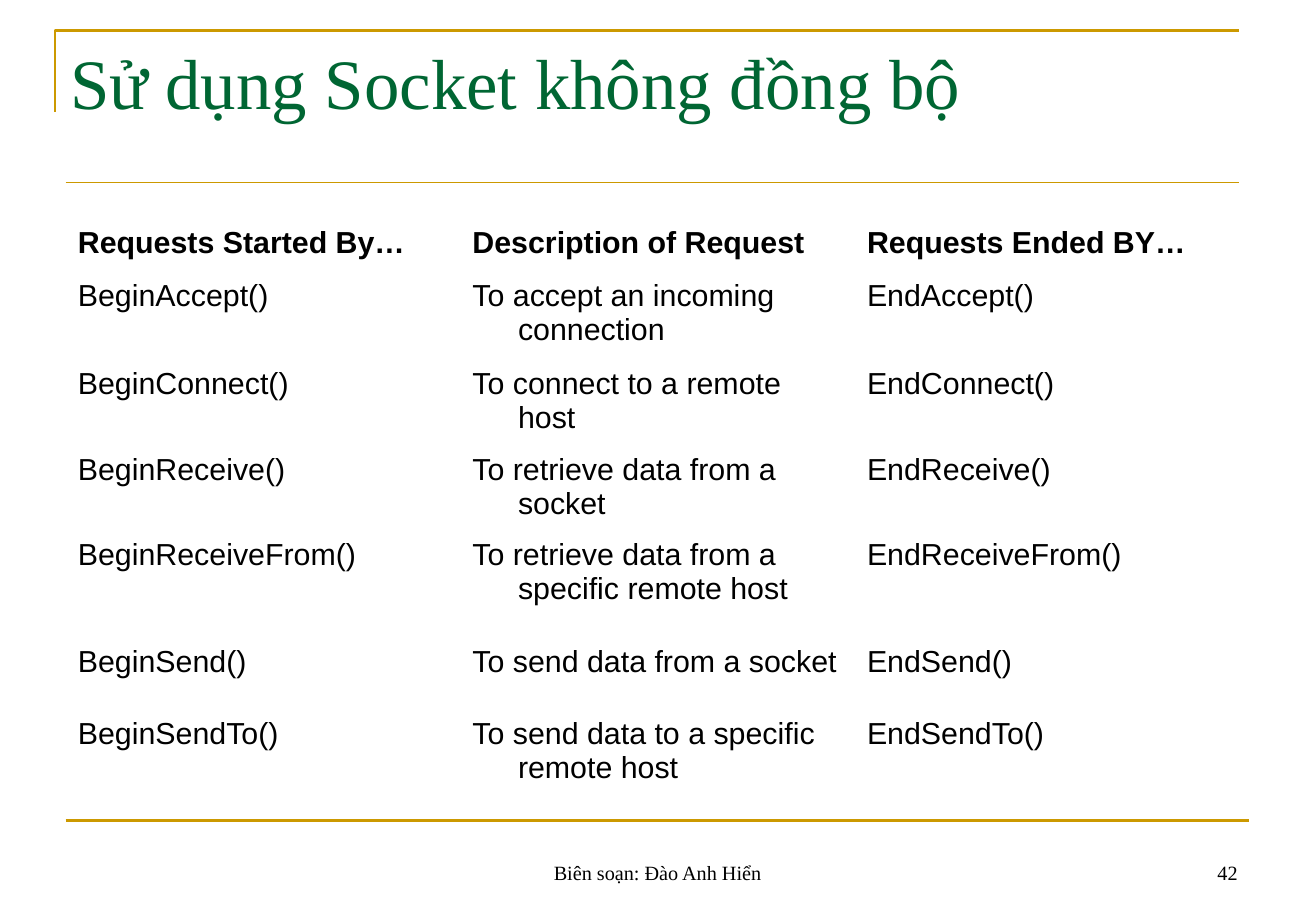
from lxml import etree
from pptx import Presentation
from pptx.dml.color import RGBColor
from pptx.enum import shapes, text
from pptx.oxml import ns
from pptx.util import Pt

GOLD = RGBColor(0xCC, 0x99, 0x00)
GREEN = RGBColor(0x00, 0x66, 0x33)
BLACK = RGBColor(0x00, 0x00, 0x00)
SERIF, SANS = "Times New Roman", "Arial"

LEFT, WIDTH, RULE_END = 39, 702, 734.6
ROW_HEIGHTS = [36, 52.1, 50.6, 50.7, 63.4, 42.5, 61.9]
HEADER = ["Requests Started By…", "Description of Request", "Requests Ended BY…"]
REQUESTS = [
    ("Accept", "To accept an incoming connection"),
    ("Connect", "To connect to a remote host"),
    ("Receive", "To retrieve data from a socket"),
    ("ReceiveFrom", "To retrieve data from a specific remote host"),
    ("Send", "To send data from a socket"),
    ("SendTo", "To send data to a specific remote host"),
]


class SlideBuilder:
    hanging = 27

    def __init__(self, prs):
        self.s = prs.slides.add_slide(prs.slide_layouts[6])

    def style(self, p, font, size, color, bold=False):
        for r in p.runs:
            r.font.name = font
            r.font.size = Pt(size)
            r.font.bold = bold
            r.font.color.rgb = color

    def stroke(self, line, width):
        line.color.rgb = GOLD
        line.width = Pt(width)

    def corner(self, points, width):
        start, *rest = [(Pt(x), Pt(y)) for x, y in points]
        builder = self.s.shapes.build_freeform(*start)
        builder.add_line_segments(rest, close=False)
        sp = builder.convert_to_shape()
        sp.shadow.inherit = False
        sp.fill.background()
        self.stroke(sp.line, width)

    def rule(self, x1, x2, y, width):
        sp = self.s.shapes.add_connector(
            shapes.MSO_CONNECTOR.STRAIGHT, Pt(x1), Pt(y), Pt(x2), Pt(y))
        etree.SubElement(sp._element.spPr, ns.qn("a:effectLst"))
        self.stroke(sp.line, width)

    def label(self, words, box, size, color, align, anchor):
        sp = self.s.shapes.add_textbox(*map(Pt, box))
        tf = sp.text_frame
        tf.word_wrap = True
        tf.vertical_anchor = anchor
        tf.text = words
        p = tf.paragraphs[0]
        p.alignment = align
        self.style(p, SERIF, size, color)

    def table(self, rows, heights, left, top, width):
        frame = self.s.shapes.add_table(
            len(rows), len(rows[0]), Pt(left), Pt(top), Pt(width), Pt(sum(heights)))
        grid = frame.table
        grid.first_row = grid.horz_banding = False
        for i, (row, height) in enumerate(zip(rows, heights)):
            grid.rows[i].height = Pt(height)
            for j, words in enumerate(row):
                self.cell(grid.cell(i, j), words, header=i == 0)

    def cell(self, cell, words, header):
        cell.fill.background()
        anchor = text.MSO_ANCHOR
        cell.vertical_anchor = anchor.MIDDLE if header else anchor.TOP
        tf = cell.text_frame
        tf.text = words
        p = tf.paragraphs[0]
        pPr = p._p.get_or_add_pPr()
        pPr.set("marL", str(Pt(self.hanging)))
        pPr.set("indent", str(-Pt(self.hanging)))
        self.style(p, SANS, 18, BLACK, header)


def main():
    prs = Presentation()
    prs.slide_width, prs.slide_height = Pt(780.48), Pt(540)
    slide = SlideBuilder(prs)
    align, anchor = text.PP_ALIGN, text.MSO_ANCHOR

    slide.corner([(32.6, 66.2), (32.6, 18), (RULE_END, 18)], 1.5)
    slide.rule(LEFT, LEFT + WIDTH, 486.2, 1.5)
    slide.rule(LEFT, RULE_END, 108, 0.75)
    slide.label("Sử dụng Socket không đồng bộ", (34.5, 19.6, WIDTH, 90),
                42, GREEN, align.LEFT, anchor.TOP)

    rows = [HEADER] + [(f"Begin{name}()", about, f"End{name}()") for name, about in REQUESTS]
    slide.table(rows, ROW_HEIGHTS, LEFT, 126, WIDTH)

    slide.label("Biên soạn: Đào Anh Hiển", (266.6, 492.1, 247, 36),
                12, BLACK, align.CENTER, anchor.BOTTOM)
    slide.label("42", (558.9, 492.1, 182.2, 36), 12, BLACK, align.RIGHT, anchor.BOTTOM)
    prs.save("out.pptx")


if __name__ == "__main__":
    main()
